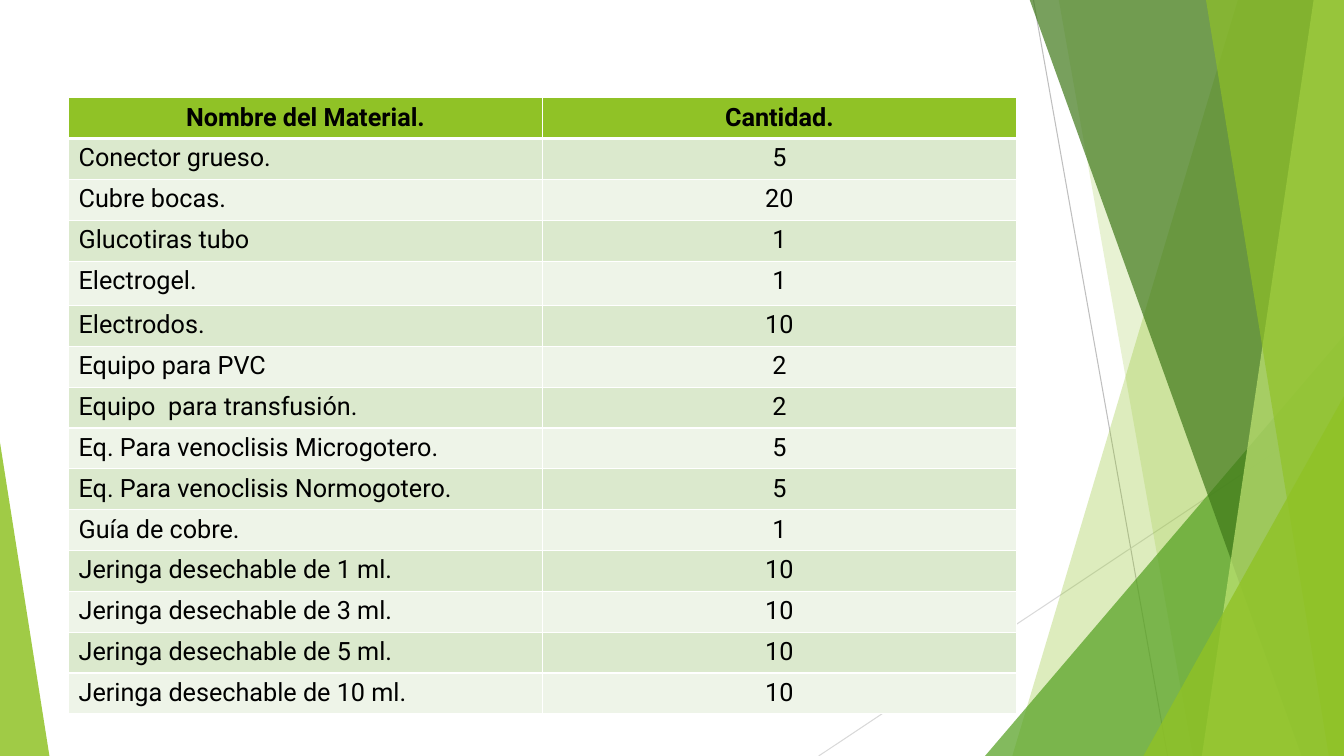
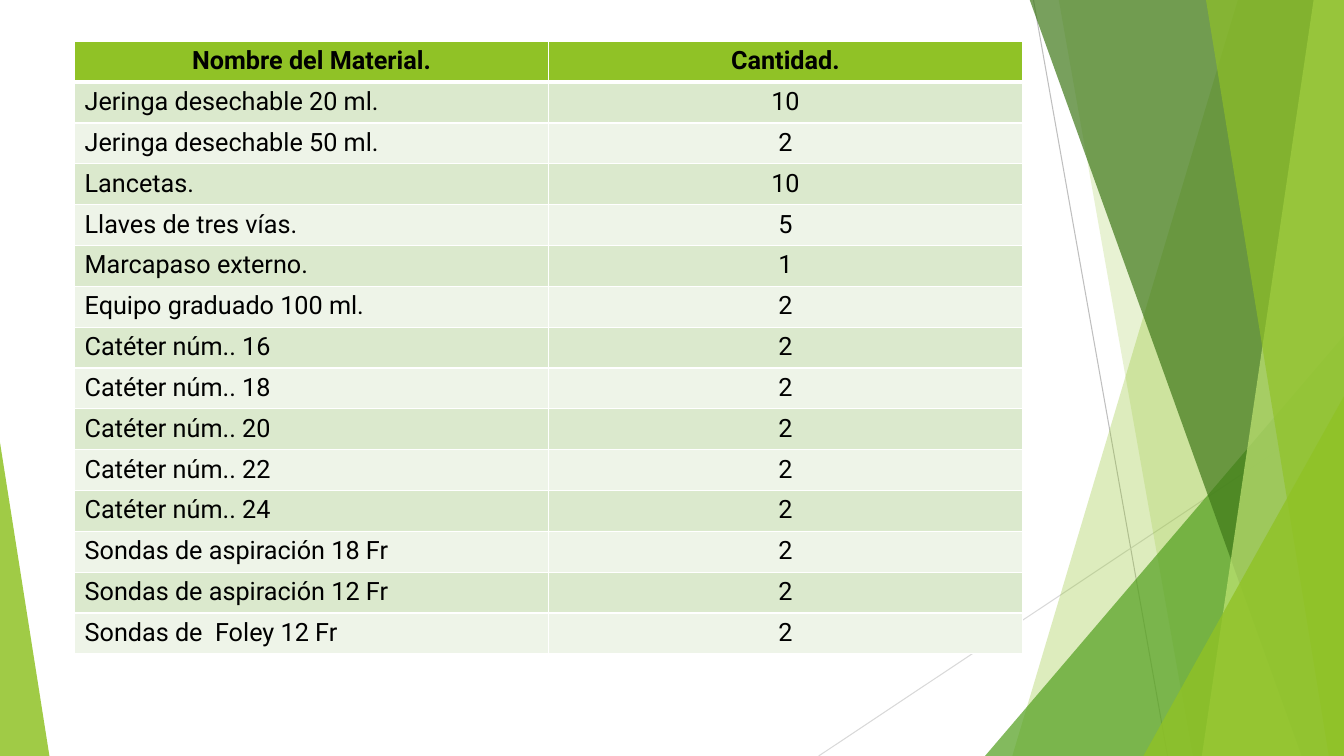
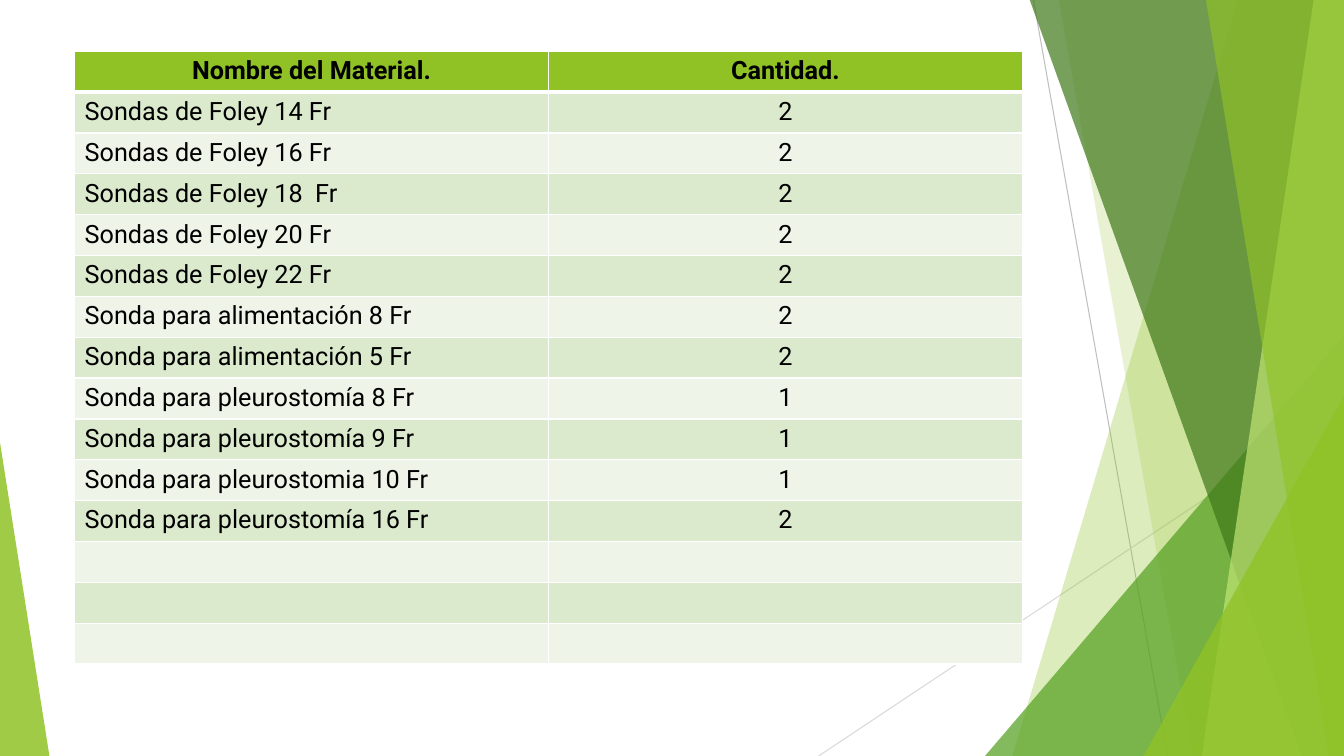
from lxml import etree
from pptx import Presentation
from pptx import util as u
from pptx.dml.color import RGBColor
from pptx.enum import shapes, text
from pptx.oxml.ns import qn

COLORS = {
    "lime": "90C226", "green": "54A021", "forest": "3F7819", "pale": "C0E474",
    "gray": "BFBFBF", "silver": "D9D9D9", "white": "FFFFFF", "black": "000000",
    "odd_row": "DBE9CD", "even_row": "EEF4E8",
}
WIDTH, HEIGHT = 13.33, 7.5
TOP = -0.01
FONT = {"name": "Roboto", "size": u.Pt(18)}
TABLE_WIDTH, ROW_HEIGHT = 9.4, 6.08 / 15
HEADER = ("Nombre del Material.", "Cantidad.")

RAYS = [
    ((10.25, 0), (11.58, HEIGHT), "gray"),
    ((WIDTH, 4.03), (8.12, HEIGHT), "silver"),
]
FACETS = [
    ("band", (12.28, 10.04), "lime", 30),
    ("band", (10.5, 11.83), "lime", 20),
    ("triangle", (9.77, 3.33, 3.56, 1), "green", 72),
    ("band", (10.21, 12.91), "forest", 70),
    ("band", (13.03, 11.92), "pale", 70),
    ("band", (11.96, 13.18), "lime", 65),
    ("triangle", (11.34, 3.93, 1.99, 1), "lime", 80),
    ("triangle", (0, 4.39, 0.49, 0), "lime", 85),
]

TABLES = [
    {
        "left": 0.68, "top": 0.97, "tall_rows": {4: 0.44},
        "rows": [
            ("Conector grueso.", 5), ("Cubre bocas.", 20),
            ("Glucotiras tubo", 1), ("Electrogel.", 1),
            ("Electrodos.", 10), ("Equipo para PVC", 2),
            ("Equipo  para transfusión.", 2),
            ("Eq. Para venoclisis Microgotero.", 5),
            ("Eq. Para venoclisis Normogotero.", 5),
            ("Guía de cobre.", 1),
            ("Jeringa desechable de 1 ml.", 10),
            ("Jeringa desechable de 3 ml.", 10),
            ("Jeringa desechable de 5 ml.", 10),
            ("Jeringa desechable de 10 ml.", 10),
        ],
    },
    {
        "left": 0.74, "top": 0.41, "tall_rows": {},
        "rows": [
            ("Jeringa desechable 20 ml.", 10),
            ("Jeringa desechable 50 ml.", 2),
            ("Lancetas.", 10), ("Llaves de tres vías.", 5),
            ("Marcapaso externo.", 1), ("Equipo graduado 100 ml.", 2),
            ("Catéter núm.. 16", 2), ("Catéter núm.. 18", 2),
            ("Catéter núm.. 20", 2), ("Catéter núm.. 22", 2),
            ("Catéter núm.. 24", 2),
            ("Sondas de aspiración 18 Fr", 2),
            ("Sondas de aspiración 12 Fr", 2),
            ("Sondas de  Foley 12 Fr", 2),
        ],
    },
    {
        "left": 0.74, "top": 0.51, "tall_rows": {},
        "rows": [
            ("Sondas de Foley 14 Fr", 2), ("Sondas de Foley 16 Fr", 2),
            ("Sondas de Foley 18  Fr", 2), ("Sondas de Foley 20 Fr", 2),
            ("Sondas de Foley 22 Fr", 2),
            ("Sonda para alimentación 8 Fr", 2),
            ("Sonda para alimentación 5 Fr", 2),
            ("Sonda para pleurostomía 8 Fr", 1),
            ("Sonda para pleurostomía 9 Fr", 1),
            ("Sonda para pleurostomia 10 Fr", 1),
            ("Sonda para pleurostomía 16 Fr", 2),
            ("", ""), ("", ""), ("", ""),
        ],
    },
]


def rgb(name):
    """Return the named palette colour."""
    return RGBColor.from_string(COLORS[name])


def add_ray(group, start, end, color):
    """Draw a thin line without shadow."""
    ray = group.shapes.add_connector(
        shapes.MSO_CONNECTOR.STRAIGHT, *map(u.Inches, start + end))
    ray.line.color.rgb = rgb(color)
    ray.line.width = u.Pt(0.75)
    etree.SubElement(ray._element.spPr, qn("a:effectLst"))


def band(group, top_x, bottom_x):
    """Draw a full-height facet that ends at the right edge."""
    outline = group.shapes.build_freeform(
        u.Inches(top_x), u.Inches(TOP), scale=1.0)
    corners = [(WIDTH, TOP), (WIDTH, HEIGHT), (bottom_x, HEIGHT)]
    outline.add_line_segments(
        [(u.Inches(x), u.Inches(y)) for x, y in corners], close=True)
    return outline.convert_to_shape()


def triangle(group, left, top, width, apex):
    """Draw a triangle that stands on the bottom edge."""
    shape = group.shapes.add_shape(
        shapes.MSO_SHAPE.ISOSCELES_TRIANGLE,
        *map(u.Inches, (left, top, width, HEIGHT - top)))
    shape.adjustments[0] = apex
    return shape


def paint(shape, color, opacity):
    """Fill a facet with a translucent colour."""
    shape.shadow.inherit = False
    shape.line.fill.background()
    shape.fill.solid()
    shape.fill.fore_color.rgb = rgb(color)
    tint = next(shape._element.spPr.iter(qn("a:srgbClr")))
    etree.SubElement(tint, qn("a:alpha"), val=str(opacity * 1000))


def decorate_layout(layout, page):
    """Build the facets on a page and move them to its layout."""
    for holder in list(layout.placeholders):
        layout.shapes._spTree.remove(holder._element)
    group = page.shapes.add_group_shape()
    for ray in RAYS:
        add_ray(group, *ray)
    makers = {"band": band, "triangle": triangle}
    for kind, box, color, opacity in FACETS:
        paint(makers[kind](group, *box), color, opacity)
    layout.shapes._spTree.append(group._element)


def set_borders(cell, row):
    """Draw white cell borders, thick below the header row."""
    widths = {"L": 1, "R": 1, "T": 3 if row == 1 else 1, "B": 3 if row == 0 else 1}
    props = cell._tc.get_or_add_tcPr()
    for side, width in widths.items():
        line = etree.SubElement(props, qn("a:ln" + side), w=str(u.Pt(width)))
        fill = etree.SubElement(line, qn("a:solidFill"))
        etree.SubElement(fill, qn("a:srgbClr"), val=COLORS["white"])


def fill_cell(cell, row, column, value):
    """Format one table cell and write its value."""
    set_borders(cell, row)
    cell.fill.solid()
    band_color = "odd_row" if row % 2 else "even_row"
    cell.fill.fore_color.rgb = rgb(band_color if row else "lime")
    if value == "":
        return
    para = cell.text_frame.paragraphs[0]
    centred = row == 0 or column == 1
    para.alignment = text.PP_ALIGN.CENTER if centred else text.PP_ALIGN.LEFT
    span = para.add_run()
    span.text = str(value)
    span.font.color.rgb = rgb("black")
    for name, setting in {**FONT, "bold": row == 0}.items():
        setattr(span.font, name, setting)


def add_material_table(page, left, top, rows, tall_rows):
    """Place a table of materials and quantities."""
    lines = [HEADER, *rows]
    heights = [tall_rows.get(i, ROW_HEIGHT) for i in range(len(lines))]
    box = (left, top, TABLE_WIDTH, sum(heights))
    table = page.shapes.add_table(
        len(lines), len(HEADER), *map(u.Inches, box)).table
    for row, line in enumerate(lines):
        table.rows[row].height = u.Inches(heights[row])
        for column, value in enumerate(line):
            fill_cell(table.cell(row, column), row, column, value)


def main():
    """Build and save the deck."""
    deck = Presentation()
    deck.slide_width, deck.slide_height = u.Inches(WIDTH), u.Inches(HEIGHT)
    layout = deck.slide_layouts.get_by_name("Blank")
    pages = [deck.slides.add_slide(layout) for _ in TABLES]
    decorate_layout(layout, pages[0])
    for page, content in zip(pages, TABLES):
        add_material_table(page, **content)
    deck.save("out.pptx")


if __name__ == "__main__":
    main()
